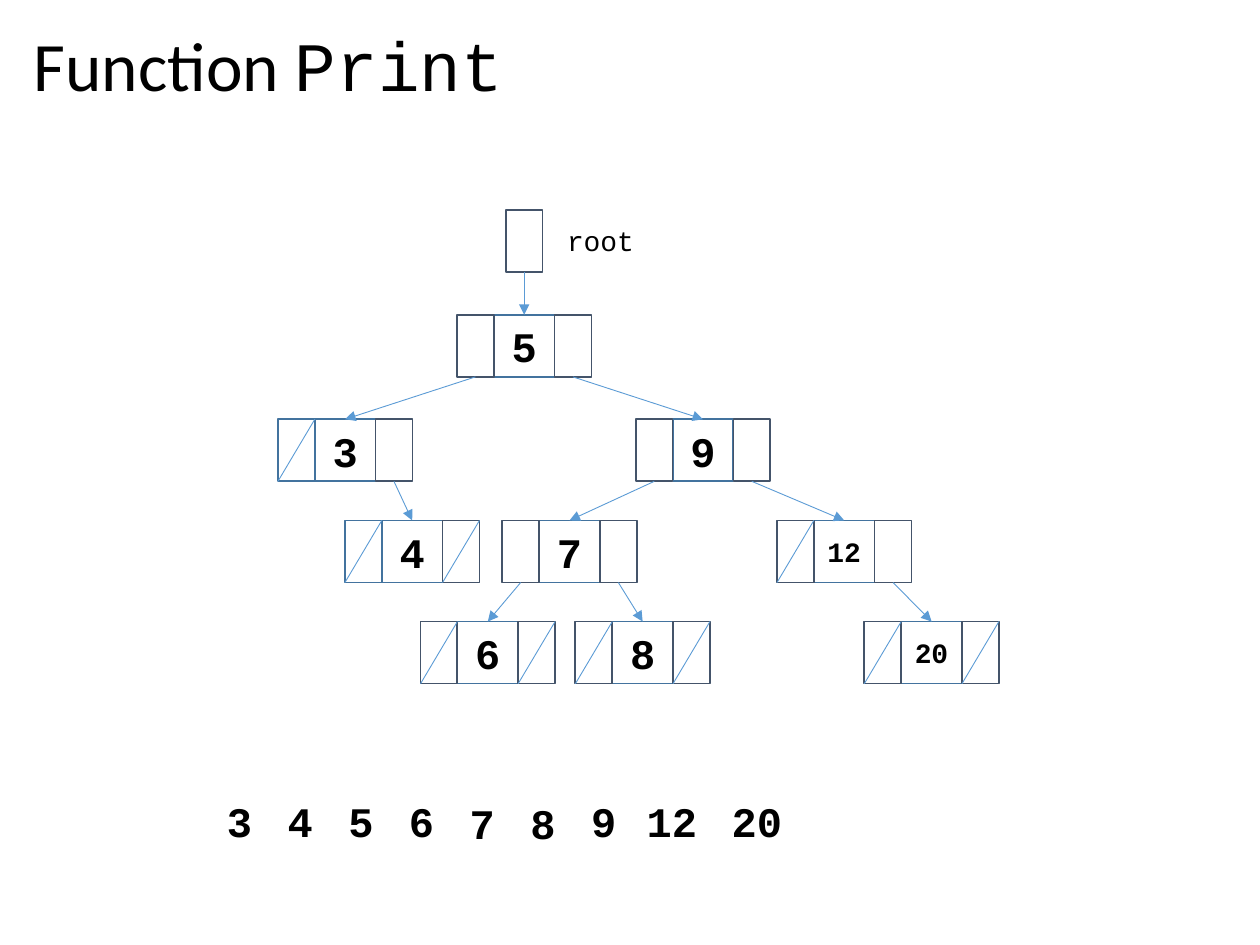
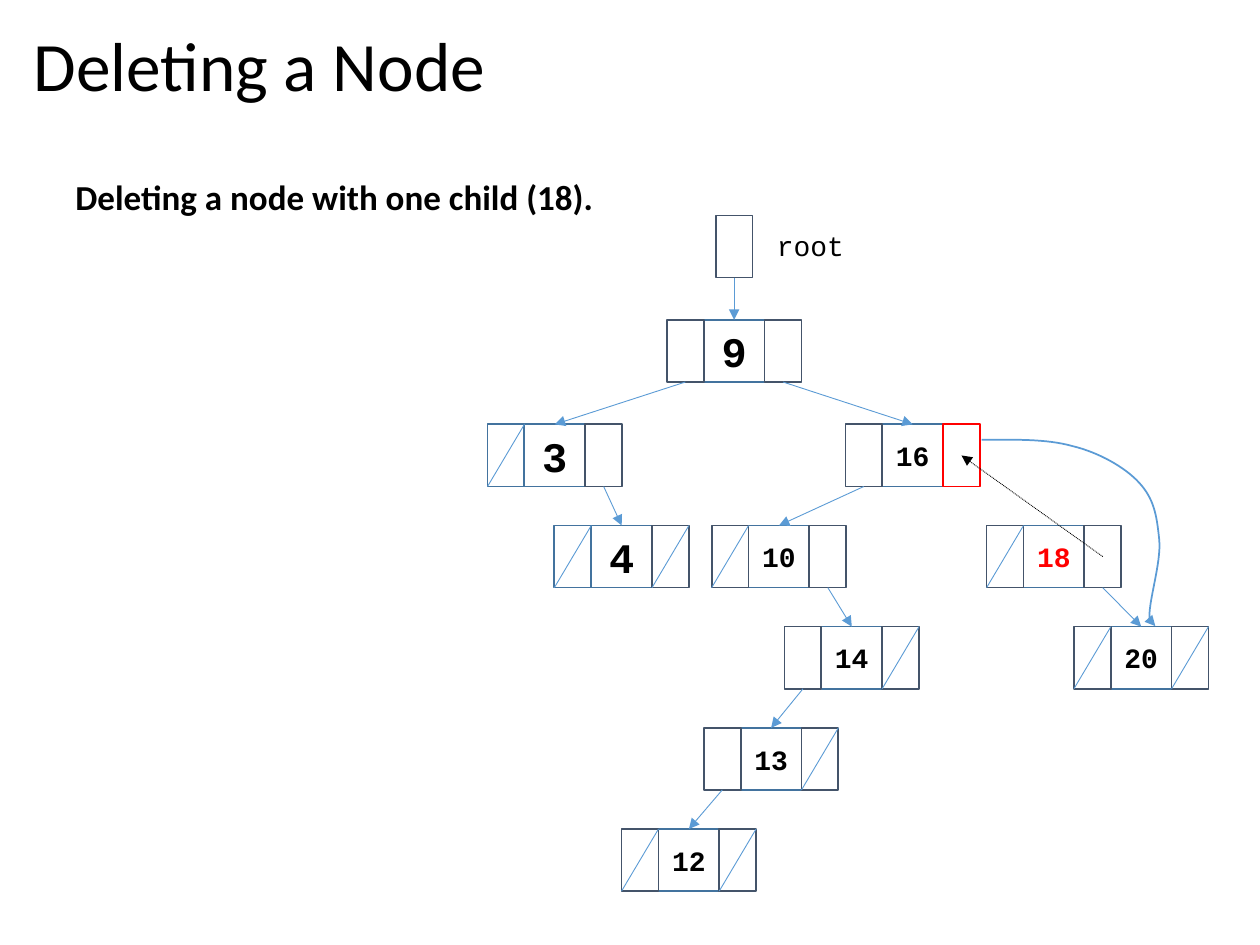
from pptx import Presentation
from pptx.dml.color import RGBColor
from pptx.enum.dml import MSO_LINE
from pptx.enum.shapes import MSO_CONNECTOR, MSO_SHAPE
from pptx.enum.text import MSO_ANCHOR, PP_ALIGN
from pptx.oxml.ns import qn
from pptx.util import Pt
from lxml.etree import SubElement

# Content: key -> (left of key cell, level, left child, right child)
# None is a null pointer, RELINKED a pointer drawn by its own curve.
RELINKED = "relinked"
PRINT_TREE = {
    "5": (282.2, 1, "3", "9"),
    "3": (179.9, 2, None, "4"),
    "9": (384.4, 2, "7", "12"),
    "7": (308.1, 3, "6", "8"),
    "12": (465.1, 3, None, "20"),
    "4": (218.2, 3, None, None),
    "6": (261.4, 4, None, None),
    "8": (349.9, 4, None, None),
    "20": (515, 4, None, None),
}
DELETE_TREE = {
    "9": (402.2, 1, "3", "16"),
    "3": (299.7, 2, None, "4"),
    "16": (504.2, 2, "10", RELINKED),
    "10": (427.8, 3, None, "14"),
    "18": (584.9, 3, None, "20"),
    "4": (337.9, 3, None, None),
    "13": (423.3, 5, "12", None),
    "14": (469.4, 4, "13", None),
    "20": (634.8, 4, None, None),
    "12": (376.3, 6, None, None),
}
PRINTED = [  # value, left, width, top
    ("3", 119.5, 34.7, 451.4), ("4", 154.2, 34.7, 451.4),
    ("5", 188.9, 34.7, 451.4), ("6", 223.5, 34.7, 451.4),
    ("7", 258.2, 34.7, 452.5), ("8", 292.9, 34.7, 452.5),
    ("9", 327.6, 34.7, 451.4), ("12", 362.3, 43.2, 451.4),
    ("20", 409.1, 46.8, 451.4),
]
DELETED = "18"
CURVE_START = (560.9, 251.3)
CURVE = [  # two control points and an end for each piece
    ((578.9, 251.3), (597.6, 250.6), (612.7, 254.9)),
    ((627.8, 258.5), (643, 267.1), (650.9, 275.8)),
    ((659.5, 285.1), (661, 294.5), (662.4, 308.2)),
    ((663.8, 321.8), (650.9, 360), (660.2, 357.8)),
]

# Shared style
SANS, MONO = "Calibri", "Courier New"
BLACK, RED, BLUE = "000000", "FF0000", "5B9BD5"
KEY_LINE, POINTER_LINE = "43739E", "44546A"
BLUE_LEFT_KEYS = {"3", "4"}
KEY_WIDTH, POINTER_WIDTH, CELL_HEIGHT = 34.7, 21.1, 35.5
LEVEL_OFFSETS = [0, 59.7] + [119.4 + 57.8 * step for step in range(5)]


def color(hex_string):
    return RGBColor.from_string(hex_string)


def set_all(target, values):
    for name, value in values.items():
        setattr(target, name, value)


def write(shape, spans, size, bold=False, ink=BLACK, frame_format=None, para_format=None):
    """Fill a shape with one paragraph of (text, font) spans."""
    set_all(shape.text_frame, {"word_wrap": True, **(frame_format or {})})
    para = shape.text_frame.paragraphs[0]
    set_all(para, para_format or {})
    for text, font in spans:
        span = para.add_run()
        span.text = text
        set_all(span.font, {"name": font, "size": Pt(size), "bold": bold})
        span.font.color.rgb = color(ink)


def write_key(shape, text, size, ink=BLACK):
    sides = ("margin_left", "margin_right", "margin_top", "margin_bottom")
    write(shape, [(text, MONO)], size, True, ink,
          {"vertical_anchor": MSO_ANCHOR.MIDDLE, **dict.fromkeys(sides, 0)},
          {"alignment": PP_ALIGN.CENTER})


def add_box(page, left, top, width, height):
    return page.shapes.add_textbox(Pt(left), Pt(top), Pt(width), Pt(height))


def add_cell(page, left, top, width, ink):
    cell = page.shapes.add_shape(MSO_SHAPE.RECTANGLE, Pt(left), Pt(top), Pt(width), Pt(CELL_HEIGHT))
    cell.shadow.inherit = False
    cell.fill.background()
    cell.line.color.rgb = color(ink)
    cell.line.width = Pt(1)
    return cell


def add_arrowhead(shape):
    SubElement(shape.line._get_or_add_ln(), qn("a:tailEnd"), type="triangle")


def add_line(page, begin_x, begin_y, end_x, end_y, ink=BLUE):
    """Draw a thin line between two points given in EMU."""
    line = page.shapes.add_connector(MSO_CONNECTOR.STRAIGHT, begin_x, begin_y, end_x, end_y)
    line.line.color.rgb = color(ink)
    line.line.width = Pt(0.5)
    SubElement(line._element.spPr, qn("a:effectLst"))
    return line


def add_link(page, pointer, key_cell):
    link = add_line(page, 0, 0, 0, 0)
    link.begin_connect(pointer, 2)
    link.end_connect(key_cell, 0)
    add_arrowhead(link)


def add_page(deck, title):
    page = deck.slides.add_slide(deck.slide_layouts[6])
    box = add_box(page, 12.2, 13, 692.6, 53.3)
    write(box, title, 39.6, frame_format={"vertical_anchor": MSO_ANCHOR.MIDDLE},
          para_format={"line_spacing": 0.9})
    return page


def add_tree(page, tree, root_top):
    """Draw cells, then links and null slashes; return cells by key."""
    cells = {}
    for key, (left, level, _, right_child) in tree.items():
        top = root_top + LEVEL_OFFSETS[level]
        key_cell = add_cell(page, left, top, KEY_WIDTH, KEY_LINE)
        write_key(key_cell, key, 24 if len(key) == 1 else 16,
                  RED if key == DELETED else BLACK)
        right = add_cell(page, left + KEY_WIDTH, top, POINTER_WIDTH,
                         RED if right_child == RELINKED else POINTER_LINE)
        before = add_cell(page, left - POINTER_WIDTH, top, POINTER_WIDTH,
                          KEY_LINE if key in BLUE_LEFT_KEYS else POINTER_LINE)
        cells[key] = (key_cell, before, right)

    # Root pointer and its label
    top_key = next(iter(tree))
    left = tree[top_key][0]
    root = add_cell(page, left + (KEY_WIDTH - POINTER_WIDTH) / 2, root_top,
                    POINTER_WIDTH, POINTER_LINE)
    add_link(page, root, cells[top_key][0])
    write(add_box(page, left + KEY_WIDTH, root_top + 3.8, 152.6, 26.6), [("root", MONO)], 16)

    # Links to children, slashes in null pointers
    for key, (_, _, *children) in tree.items():
        for pointer, child in zip(cells[key][1:], children):
            if child is None:
                add_line(page, pointer.left + pointer.width, pointer.top,
                         pointer.left, pointer.top + pointer.height)
            elif child != RELINKED:
                add_link(page, pointer, cells[child][0])
    return cells


def add_curve(page, start, pieces):
    """Draw an arrow of cubic pieces through their end points."""
    start_x, start_y = (Pt(value) for value in start)
    builder = page.shapes.build_freeform(start_x, start_y)
    builder.add_line_segments([(Pt(x), Pt(y)) for *_, (x, y) in pieces], close=False)
    curve = builder.convert_to_shape()
    curve.shadow.inherit = False
    curve.fill.background()
    curve.line.color.rgb = color(BLUE)
    curve.line.width = Pt(1)
    add_arrowhead(curve)
    for segment, piece in zip(list(curve._element.iter(qn("a:lnTo"))), pieces):
        bezier = SubElement(segment.getparent(), qn("a:cubicBezTo"))
        for x, y in piece:
            SubElement(bezier, qn("a:pt"), x=str(Pt(x) - curve.left), y=str(Pt(y) - curve.top))
        segment.getparent().replace(segment, bezier)


def build_print_page(deck):
    page = add_page(deck, [("Function ", SANS), ("Print", MONO)])
    add_tree(page, PRINT_TREE, 120.2)
    for value, left, width, top in PRINTED:
        write_key(add_box(page, left, top, width, CELL_HEIGHT), value, 24)


def build_delete_page(deck):
    page = add_page(deck, [("Deleting a Node", SANS)])
    write(add_box(page, 36, 96.5, 627.1, 31.7),
          [("Deleting a node with one child (18).", SANS)], 20, True)
    cells = add_tree(page, DELETE_TREE, 123.1)
    add_curve(page, CURVE_START, CURVE)

    # The deleted node's pointer is copied into its parent
    centres = [(cell.left + cell.width // 2, cell.top + cell.height // 2)
               for cell in (cells[DELETED][2], cells["16"][2])]
    copy_arrow = add_line(page, *centres[0], *centres[1], BLACK)
    copy_arrow.line.dash_style = MSO_LINE.ROUND_DOT
    add_arrowhead(copy_arrow)


def main():
    deck = Presentation()
    set_all(deck, {"slide_width": Pt(720), "slide_height": Pt(540)})
    build_print_page(deck)
    build_delete_page(deck)
    deck.save("out.pptx")


if __name__ == "__main__":
    main()
